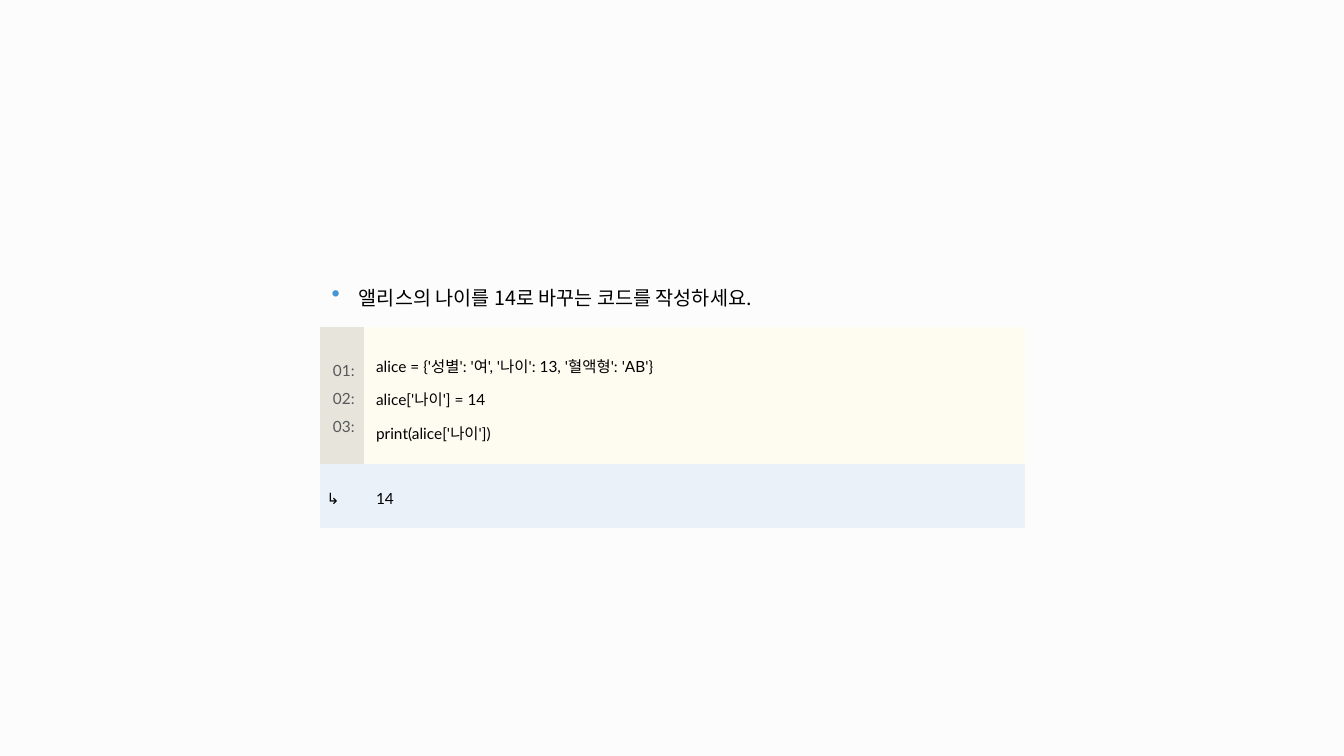
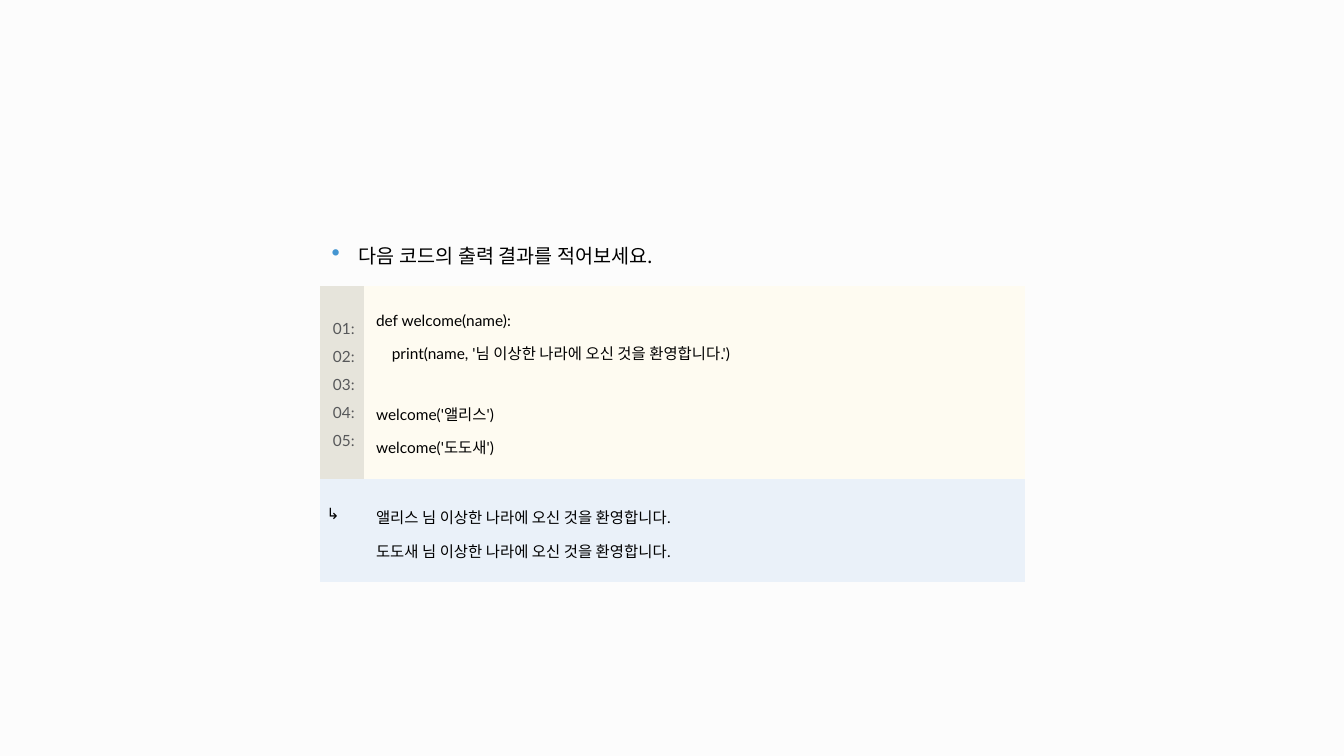
"""Build two Python exercise slides, each with a numbered code listing and its output."""
from dataclasses import dataclass

import lxml.etree
import pptx
import pptx.dml.color
import pptx.enum.text
import pptx.oxml.ns
import pptx.table
import pptx.text.text
import pptx.util

Inches = pptx.util.Inches

COLOURS = {
    "background": "FCFCFC",
    "text": "000000",
    "bullet": "4495D1",
    "line number": "57585A",
    "gutter": "E6E4DB",
    "code": "FEFBF1",
    "output": "EAF1F9",
}
LATIN_FONT = "Lato"
KOREAN_FONT = "Noto Sans CJK KR"
NO_GRID_STYLE = "{2D5ABB26-0587-4C30-8999-92F81FD0307C}"
TABLE_LEFT = 3.17
COLUMN_WIDTHS = (0.44, 6.56)
QUESTION_HEIGHT = 0.62


@dataclass(frozen=True)
class Exercise:
    question: str
    code: tuple[str, ...]
    output: tuple[str, ...]
    top: float
    code_height: float
    output_height: float


@dataclass(frozen=True)
class CellStyle:
    margins: tuple[float, float, float, float]
    fill: str | None = None
    colour: str = "text"
    font: str = LATIN_FONT
    size: int = 11
    centred: bool = False
    anchored_middle: bool = True
    bulleted: bool = False


QUESTION = CellStyle((0.12, 0.04, 0, 0.16), font=KOREAN_FONT, size=14, bulleted=True)
GUTTER = CellStyle((0.04, 0.04, 0, 0.08), "gutter", colour="line number", centred=True)
CODE = CellStyle((0.12, 0.16, 0, 0.2), "code")
ARROW = CellStyle((0.07, 0.16, 0, 0.2), "output", anchored_middle=False)
OUTPUT = CellStyle((0.12, 0.16, 0, 0.2), "output")

EXERCISES = (
    Exercise(
        "앨리스의 나이를 14로 바꾸는 코드를 작성하세요.",
        (
            "alice = {'성별': '여', '나이': 13, '혈액형': 'AB'}",
            "alice['나이'] = 14",
            "print(alice['나이'])",
        ),
        ("14",),
        top=2.62,
        code_height=1.35,
        output_height=0.63,
    ),
    Exercise(
        "다음 코드의 출력 결과를 적어보세요.",
        (
            "def welcome(name):",
            "    print(name, '님 이상한 나라에 오신 것을 환영합니다.')",
            "",
            "welcome('앨리스')",
            "welcome('도도새')",
        ),
        (
            "앨리스 님 이상한 나라에 오신 것을 환영합니다.",
            "도도새 님 이상한 나라에 오신 것을 환영합니다.",
        ),
        top=2.21,
        code_height=1.91,
        output_height=1.01,
    ),
)


def colour(name: str) -> pptx.dml.color.RGBColor:
    return pptx.dml.color.RGBColor.from_string(COLOURS[name])


def add_element(parent, tag: str, **attributes: str):
    return lxml.etree.SubElement(parent, pptx.oxml.ns.qn(tag), attributes)


def add_bullet(paragraph: pptx.text.text._Paragraph) -> None:
    properties = paragraph._p.get_or_add_pPr()
    properties.set("marL", str(Inches(0.27)))
    properties.set("indent", str(Inches(-0.27)))
    bullet_colour = add_element(properties, "a:buClr")
    add_element(bullet_colour, "a:srgbClr", val=COLOURS["bullet"])
    add_element(properties, "a:buSzPct", val="125000")
    add_element(properties, "a:buChar", char="•")


def style_paragraph(paragraph: pptx.text.text._Paragraph, style: CellStyle) -> None:
    paragraph.line_spacing = 1.5
    if style.centred:
        paragraph.alignment = pptx.enum.text.PP_ALIGN.CENTER
    if style.bulleted:
        add_bullet(paragraph)
    font = paragraph.font
    font.size = pptx.util.Pt(style.size)
    font.name = style.font
    font.color.rgb = colour(style.colour)
    add_element(font._element, "a:ea", typeface=KOREAN_FONT)


def fill_cell(cell: pptx.table._Cell, lines: tuple[str, ...], style: CellStyle) -> None:
    left, top, right, bottom = map(Inches, style.margins)
    cell.margin_left, cell.margin_top = left, top
    cell.margin_right, cell.margin_bottom = right, bottom
    anchor = pptx.enum.text.MSO_ANCHOR
    cell.vertical_anchor = anchor.MIDDLE if style.anchored_middle else anchor.TOP
    if style.fill:
        cell.fill.solid()
        cell.fill.fore_color.rgb = colour(style.fill)
    else:
        cell.fill.background()
    cell.text_frame.text = "\n".join(lines)
    for paragraph in cell.text_frame.paragraphs:
        style_paragraph(paragraph, style)


def add_exercise(presentation, exercise: Exercise) -> None:
    slide = presentation.slides.add_slide(presentation.slide_layouts[6])
    slide.background.fill.solid()
    slide.background.fill.fore_color.rgb = colour("background")

    heights = (QUESTION_HEIGHT, exercise.code_height, exercise.output_height)
    frame = slide.shapes.add_table(
        len(heights), len(COLUMN_WIDTHS),
        Inches(TABLE_LEFT), Inches(exercise.top),
        Inches(sum(COLUMN_WIDTHS)), Inches(sum(heights)),
    )
    table = frame.table
    table.first_row = False
    table.horz_banding = False
    table._tbl.tblPr.find(pptx.oxml.ns.qn("a:tableStyleId")).text = NO_GRID_STYLE
    for column, width in zip(table.columns, COLUMN_WIDTHS):
        column.width = Inches(width)
    for row, height in zip(table.rows, heights):
        row.height = Inches(height)

    table.cell(0, 0).merge(table.cell(0, 1))
    line_numbers = tuple(f"{number:02}:" for number in range(1, len(exercise.code) + 1))
    fill_cell(table.cell(0, 0), (exercise.question,), QUESTION)
    fill_cell(table.cell(1, 0), line_numbers, GUTTER)
    fill_cell(table.cell(1, 1), exercise.code, CODE)
    fill_cell(table.cell(2, 0), ("↳",), ARROW)
    fill_cell(table.cell(2, 1), exercise.output, OUTPUT)


def main() -> None:
    presentation = pptx.Presentation()
    presentation.slide_width = Inches(13.33)
    presentation.slide_height = Inches(7.5)
    for exercise in EXERCISES:
        add_exercise(presentation, exercise)
    presentation.save("out.pptx")


if __name__ == "__main__":
    main()
